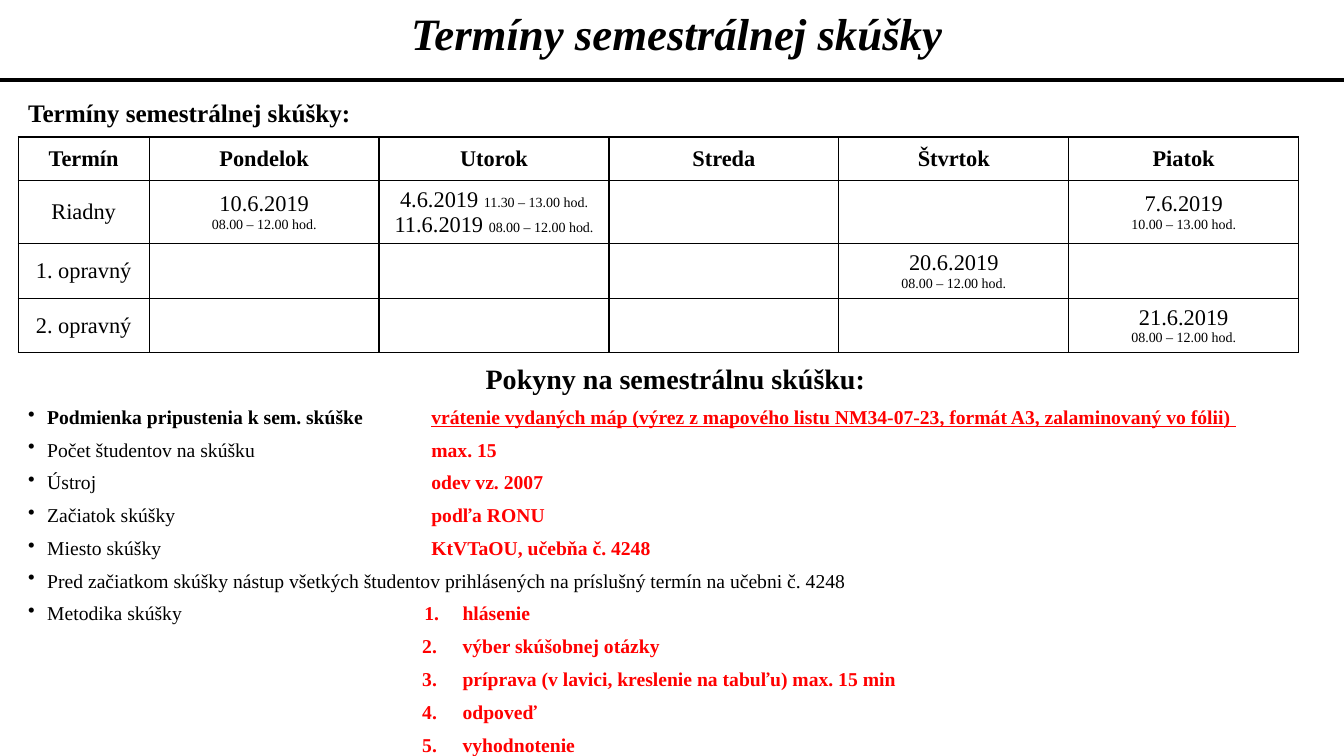
from lxml import etree
from pptx import Presentation, util as u
from pptx.dml.color import RGBColor
from pptx.enum import shapes, text
from pptx.oxml.ns import qn

BLACK = RGBColor(0x00, 0x00, 0x00)
RED = RGBColor(0xFF, 0x00, 0x00)
WHITE = RGBColor(0xFF, 0xFF, 0xFF)
FONT = "Times New Roman"
LEFT = u.Inches(0.18)
CENTER = text.PP_ALIGN.CENTER


def add_span(para, words, size, color=BLACK, bold=False):
    span = para.add_run()
    span.text = words
    font = span.font
    font.name, font.size, font.bold = FONT, u.Pt(size), bold
    font.color.rgb = color
    return span


def set_list(para, margin, hanging, bullet, attributes, tabs=()):
    props = para._p.get_or_add_pPr()
    props.set("marL", str(u.Inches(margin)))
    props.set("indent", str(-u.Inches(hanging)))
    etree.SubElement(props, qn(bullet), attributes)
    if tabs:
        stops = etree.SubElement(props, qn("a:tabLst"))
        for stop in tabs:
            etree.SubElement(stops, qn("a:tab"), pos=str(u.Inches(stop)), algn="l")


deck = Presentation()
deck.slide_width, deck.slide_height = u.Inches(13.33), u.Inches(7.5)
page = deck.slides.add_slide(deck.slide_layouts[5])

# Title and the rule under it
title = page.shapes.title
title.left, title.top = 0, 0
title.width, title.height = deck.slide_width, u.Inches(0.64)
title.text_frame.auto_size = text.MSO_AUTO_SIZE.NONE
title.text_frame.vertical_anchor = text.MSO_ANCHOR.MIDDLE
para = title.text_frame.paragraphs[0]
para.alignment = CENTER
para._p.get_or_add_pPr().set("marL", str(u.Inches(0.1)))
add_span(para, "Termíny semestrálnej skúšky", 32, bold=True).font.italic = True

rule_y = u.Inches(0.79)
rule = page.shapes.add_connector(shapes.MSO_CONNECTOR.STRAIGHT, 0, rule_y, deck.slide_width, rule_y)
rule.line.color.rgb = BLACK
rule.line.width = u.Pt(3)
etree.SubElement(rule._element.spPr, qn("a:effectLst"))

# Timetable: each cell is a list of lines, each line a list of (words, size)
DAYS = ["Termín", "Pondelok", "Utorok", "Streda", "Štvrtok", "Piatok"]
MORNING = [("08.00 – 12.00 hod.", 10)]
cells = {(0, col): [[(day, 16)]] for col, day in enumerate(DAYS)}
cells.update({
    (1, 0): [[("Riadny", 16)]],
    (1, 1): [[("10.6.2019", 16)], MORNING],
    (1, 2): [[("4.6.2019 ", 16), ("11.30 – 13.00 hod.", 10)],
             [("11.6.2019 ", 16)] + MORNING],
    (1, 5): [[("7.6.2019", 16)], [("10.00 – 13.00 hod.", 10)]],
    (2, 0): [[("1. opravný", 16)]],
    (2, 4): [[("20.6.2019", 16)], MORNING],
    (3, 0): [[("2. opravný", 16)]],
    (3, 5): [[("21.6.2019", 16)], MORNING],
})
ROW_HEIGHTS = [0.43, 0.63, 0.54, 0.54]
COL_WIDTHS = [1.3] + [2.28] * 5
table = page.shapes.add_table(
    len(ROW_HEIGHTS), len(COL_WIDTHS), LEFT, u.Inches(1.36),
    u.Inches(sum(COL_WIDTHS)), u.Inches(sum(ROW_HEIGHTS))).table
table.first_row = table.horz_banding = False
for col, width in enumerate(COL_WIDTHS):
    table.columns[col].width = u.Inches(width)
for row, height in enumerate(ROW_HEIGHTS):
    table.rows[row].height = u.Inches(height)
    for col in range(len(COL_WIDTHS)):
        cell = table.cell(row, col)
        cell.vertical_anchor = text.MSO_ANCHOR.MIDDLE
        cell_props = cell._tc.get_or_add_tcPr()
        for side in ("a:lnL", "a:lnR", "a:lnT", "a:lnB"):
            border = etree.SubElement(cell_props, qn(side), w=str(u.Pt(1)))
            paint = etree.SubElement(border, qn("a:solidFill"))
            etree.SubElement(paint, qn("a:srgbClr"), val=str(BLACK))
        cell.fill.solid()
        cell.fill.fore_color.rgb = WHITE
        for index, line in enumerate(cells.get((row, col), [])):
            frame = cell.text_frame
            para = frame.add_paragraph() if index else frame.paragraphs[0]
            para.alignment = CENTER
            for words, size in line:
                add_span(para, words, size, bold=row == 0)

# Instructions: label, red value, label in bold
box = page.shapes.add_textbox(LEFT, u.Inches(3.54), u.Inches(13.04), u.Inches(3.95))
frame = box.text_frame
frame.word_wrap = True
para = frame.paragraphs[0]
para.alignment = CENTER
add_span(para, "Pokyny na semestrálnu skúšku:", 20, bold=True)

GAP = u.Pt(6.6)
VALUE_TAB = [4]
STEP_TABS = [3.93, 4.31]
INSTRUCTIONS = [
    ("Podmienka pripustenia k sem. skúške", "vrátenie vydaných máp (výrez z mapového "
     "listu NM34-07-23, formát A3, zalaminovaný vo fólii) ", VALUE_TAB),
    ("Počet študentov na skúšku", "max. 15", VALUE_TAB),
    ("Ústroj", "odev vz. 2007", VALUE_TAB),
    ("Začiatok skúšky", "podľa RONU", VALUE_TAB),
    ("Miesto skúšky", "KtVTaOU, učebňa č. 4248", VALUE_TAB),
    ("Pred začiatkom skúšky nástup všetkých študentov prihlásených na príslušný "
     "termín na učebni č. 4248", "", []),
    ("Metodika skúšky", "1.\thlásenie", STEP_TABS),
]
for index, (label, value, tabs) in enumerate(INSTRUCTIONS):
    para = frame.add_paragraph()
    para.space_before = GAP
    set_list(para, 0.19, 0.19, "a:buChar", {"char": "•"}, tabs)
    add_span(para, label + ("\t" if value else ""), 14, bold=index == 0)
    if value:
        add_span(para, value, 14, RED, True).font.underline = index == 0

# Remaining numbered steps of the exam
for step in ["výber skúšobnej otázky", "príprava (v lavici, kreslenie na tabuľu) max. 15 min",
             "odpoveď", "vyhodnotenie"]:
    para = frame.add_paragraph()
    para.level = 1
    para.space_before = GAP
    set_list(para, 4.31, 0.4, "a:buAutoNum", {"type": "arabicPeriod", "startAt": "2"})
    add_span(para, step, 14, RED, True)

# Heading above the timetable
heading = page.shapes.add_textbox(LEFT, u.Inches(0.92), u.Inches(3.43), u.Inches(0.4))
heading.text_frame.word_wrap = False
add_span(heading.text_frame.paragraphs[0], "Termíny semestrálnej skúšky:", 18, bold=True)

deck.save("out.pptx")
